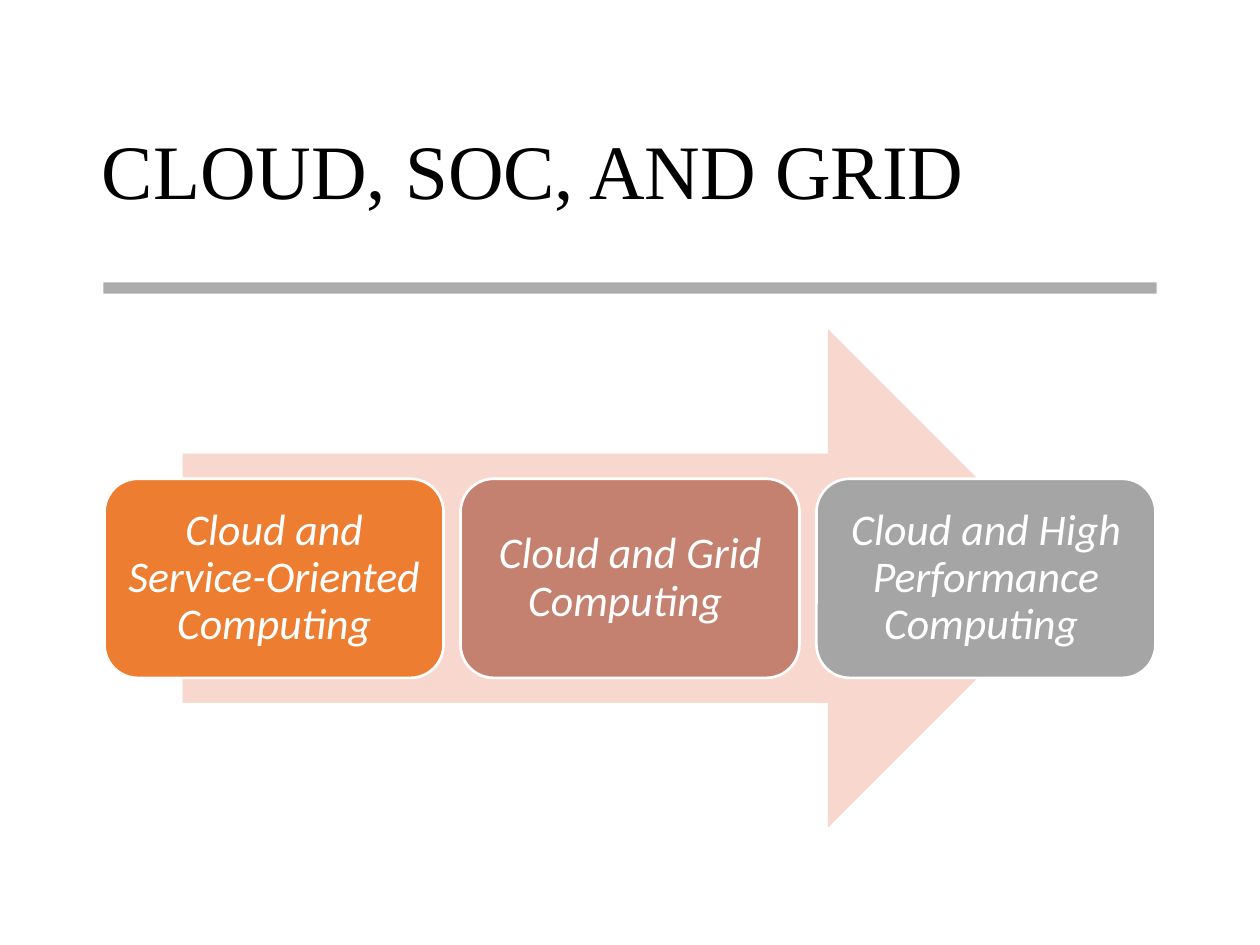
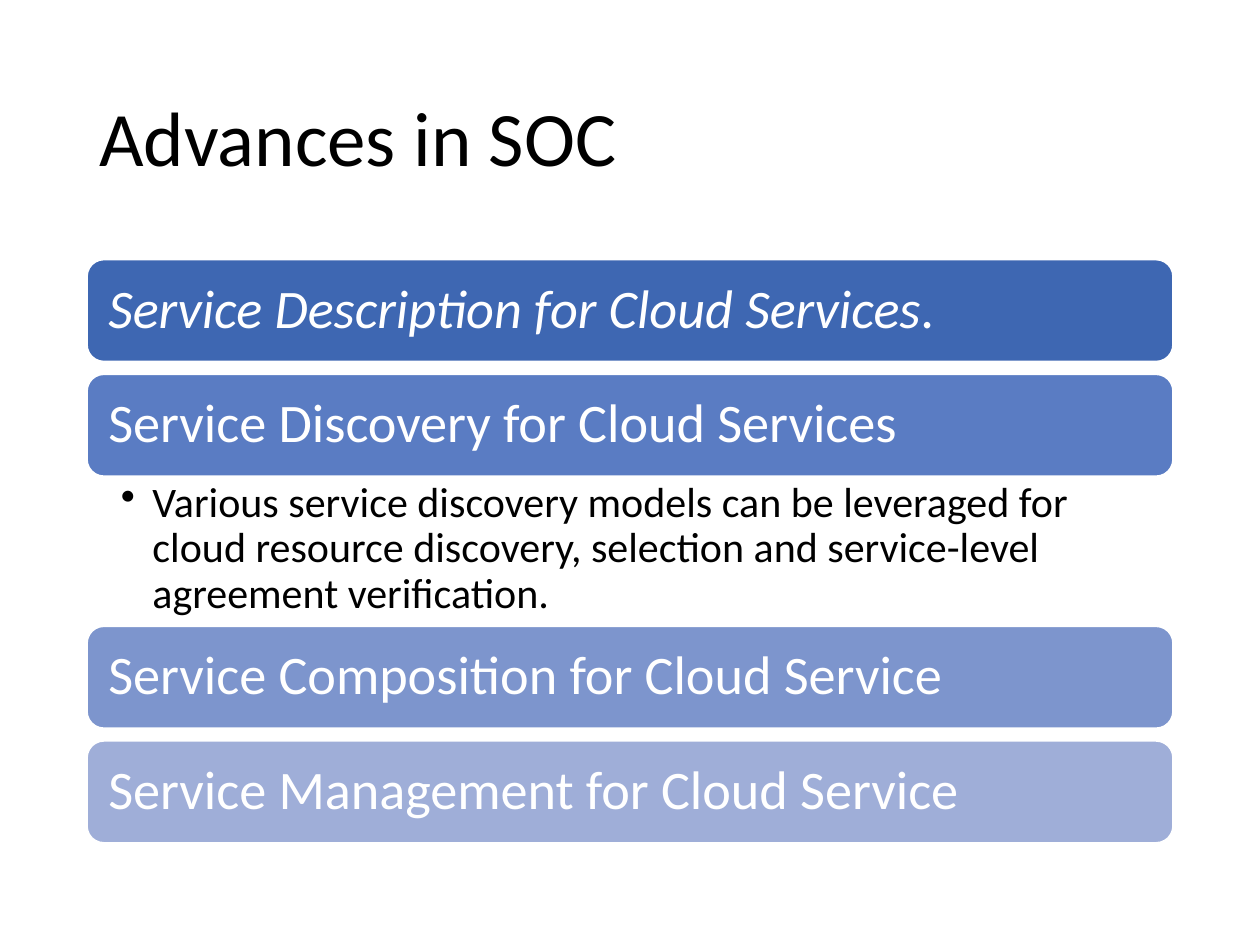
from lxml import etree
from pptx import Presentation
from pptx.dml.color import RGBColor
from pptx.enum import shapes, text
from pptx.oxml import ns
from pptx.util import Inches, Pt

HUES = {
    "ink": "000000", "white": "FFFFFF", "rule": "808080", "arrow": "F8D7CE",
    "orange": "ED7D31", "rose": "C48170", "grey": "A5A5A5",
    "blue1": "3E67B2", "blue2": "5A7CC3", "blue3": "7D95CD", "blue4": "9FAED8",
}
KINDS = shapes.MSO_SHAPE
TOP, MID = text.MSO_ANCHOR.TOP, text.MSO_ANCHOR.MIDDLE
LEFT, CENTER = text.PP_ALIGN.LEFT, text.PP_ALIGN.CENTER


def write(shape, words, size=44, font="Calibri", hue="ink", slant=False,
          align=LEFT, anchor=MID, pad=(0.1, 0.05, 0.1, 0.05)):
    """Fill a shape with one paragraph and return that paragraph."""
    frame = shape.text_frame
    frame.word_wrap = True
    frame.vertical_anchor = anchor
    (frame.margin_left, frame.margin_top,
     frame.margin_right, frame.margin_bottom) = map(Inches, pad)
    para = frame.paragraphs[0]
    para.alignment = align
    para.line_spacing = 0.9
    run = para.add_run()
    run.text = words
    run.font.size = Pt(size)
    run.font.name = font
    run.font.italic = slant
    run.font.color.rgb = RGBColor.from_string(HUES[hue])
    return para


def draw(slide, kind, at, hue, edge=0):
    """Add a filled shape, with a white outline if edge is set."""
    shape = slide.shapes.add_shape(kind, *map(Inches, at))
    shape.shadow.inherit = False
    shape.fill.solid()
    shape.fill.fore_color.rgb = RGBColor.from_string(HUES[hue])
    if edge:
        shape.line.color.rgb = RGBColor.from_string(HUES["white"])
        shape.line.width = Pt(edge)
    else:
        shape.line.fill.background()
    return shape


deck = Presentation()
deck.slide_width, deck.slide_height = Inches(10), Inches(7.5)
blank = deck.slide_layouts[6]

# Slide 1: title and rule
slide = deck.slides.add_slide(blank)
title = slide.shapes.add_textbox(*map(Inches, (0.71, 0.66, 8.57, 1.45)))
write(title, "CLOUD, SOC, AND GRID", font="Times New Roman")
rule = draw(slide, KINDS.RECTANGLE, (0.82, 2.24, 8.36, 0.09), "rule")
tint = rule._element.spPr.find(".//" + ns.qn("a:srgbClr"))
etree.SubElement(tint, ns.qn("a:alpha")).set("val", "65000")

# Arrow with three cards across it
draw(slide, KINDS.RIGHT_ARROW, (1.45, 2.61, 7.1, 3.96), "arrow")
cards = [
    ("Cloud and Service-Oriented Computing", "orange"),
    ("Cloud and Grid Computing ", "rose"),
    ("Cloud and High Performance Computing ", "grey"),
]
for i, (words, hue) in enumerate(cards):
    at = (0.83 + i * 2.825, 3.8, 2.69, 1.58)
    card = draw(slide, KINDS.ROUNDED_RECTANGLE, at, hue, edge=1.5)
    write(card, words, size=25, hue="white", slant=True, align=CENTER,
          pad=(0.1,) * 4)

# Slide 2: title
slide = deck.slides.add_slide(blank)
left, wide, high, gap = 0.69, 8.62, 0.81, 0.1
title = slide.shapes.add_textbox(*map(Inches, (left, 0.4, wide, 1.45)))
write(title, "Advances in SOC")

# Stacked bars, with a note under the second
note = ("Various service discovery models can be leveraged for cloud resource "
        "discovery, selection and service-level agreement verification.")
bars = [
    ("Service Description for Cloud Services", "blue1", ""),
    ("Service Discovery for Cloud Services", "blue2", note),
    ("Service Composition for Cloud Service", "blue3", ""),
    ("Service Management for Cloud Service", "blue4", ""),
]
y = 2.06
for i, (words, hue, more) in enumerate(bars):
    bar = draw(slide, KINDS.ROUNDED_RECTANGLE, (left, y, wide, high), hue, edge=1)
    para = write(bar, words, size=31, hue="white", slant=i == 0, pad=(0.13,) * 4)
    y += high
    if i == 0:
        # The full stop stands upright after the italic words
        stop = para.add_run()
        stop.text = "."
        stop.font.size, stop.font.name = Pt(31), "Calibri"
        stop.font.color.rgb = RGBColor.from_string(HUES["white"])
    if more:
        body = slide.shapes.add_textbox(*map(Inches, (left, y, wide, 1.19)))
        para = write(body, more, size=24, anchor=TOP, pad=(0.27, 0.04, 0.24, 0.04))
        props = para._p.get_or_add_pPr()
        props.set("marL", str(Inches(0.25)))
        props.set("indent", str(Inches(-0.25)))
        etree.SubElement(props, ns.qn("a:buChar")).set("char", "•")
        y += 1.19
    else:
        y += gap

deck.save("out.pptx")
